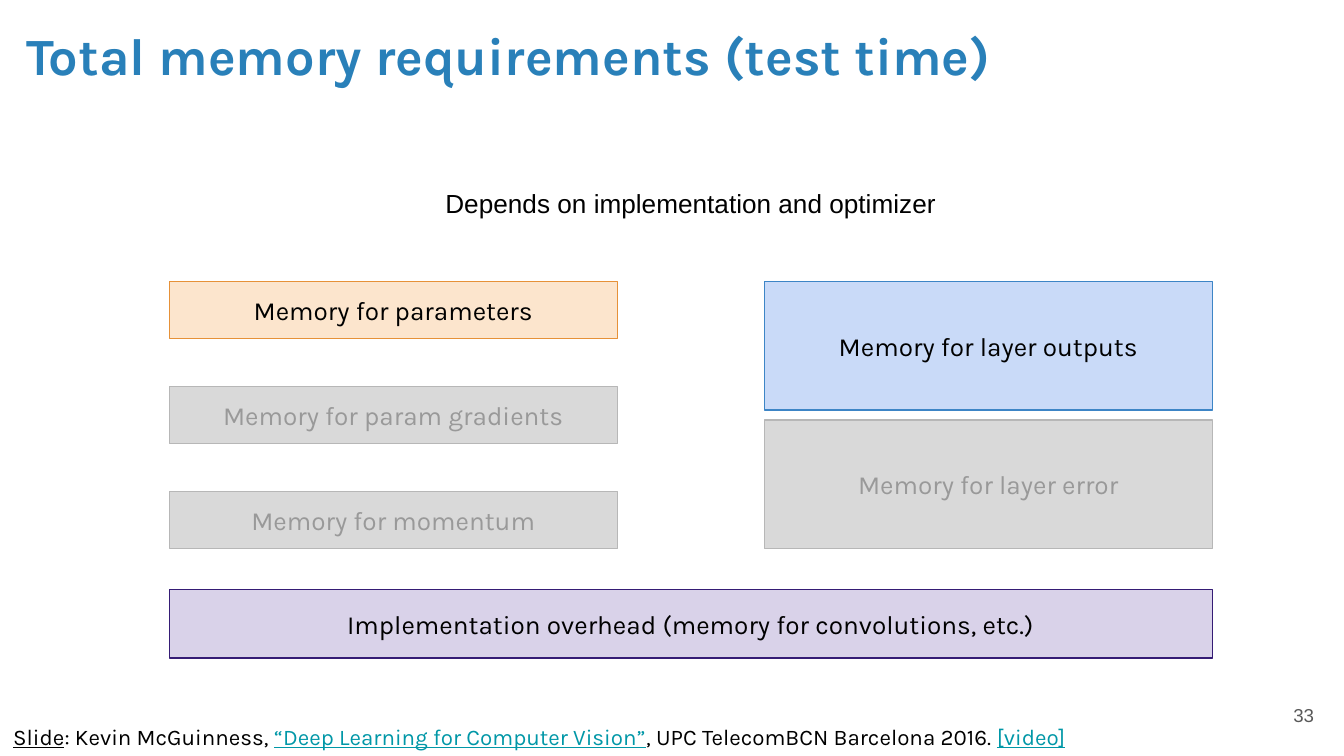
"""Build the slide on total memory requirements at test time."""
from dataclasses import dataclass

from pptx import Presentation
from pptx.dml.color import RGBColor
from pptx.enum.shapes import MSO_SHAPE
from pptx.enum.text import MSO_ANCHOR, MSO_AUTO_SIZE, PP_ALIGN
from pptx.util import Pt

RECT = MSO_SHAPE.RECTANGLE
TOP, MIDDLE = MSO_ANCHOR.TOP, MSO_ANCHOR.MIDDLE
FIXED = MSO_AUTO_SIZE.NONE
LEFT, CENTER, RIGHT = PP_ALIGN.LEFT, PP_ALIGN.CENTER, PP_ALIGN.RIGHT
PX = 9525
BLACK, LINK = "000000", "0097A7"
STACK_TOP, STACK_SPAN, BOX_WIDTH = 201, 191, 320


@dataclass(frozen=True)
class Style:
    fill: str
    line: str
    ink: str = BLACK


@dataclass(frozen=True)
class Box:
    text: str
    style: Style


@dataclass(frozen=True)
class Stack:
    left: int
    height: int
    boxes: tuple[Box, ...]


@dataclass(frozen=True)
class Part:
    text: str
    color: str = BLACK
    under: bool = False


UNUSED = Style("D9D9D9", "B7B7B7", "999999")
PARAMS = Style("FCE5CD", "E69138")
OUTPUTS = Style("C9DAF8", "3D85C6")
OVERHEAD = Style("D9D2E9", "351C75")

STACKS = (
    Stack(121, 41, (
        Box("Memory for parameters", PARAMS),
        Box("Memory for param gradients", UNUSED),
        Box("Memory for momentum", UNUSED),
    )),
    Stack(546, 92, (
        Box("Memory for layer outputs", OUTPUTS),
        Box("Memory for layer error", UNUSED),
    )),
)

CREDIT = (
    Part("Slide", under=True),
    Part(": Kevin McGuinness, "),
    Part("“Deep Learning for Computer Vision”", LINK, True),
    Part(", UPC TelecomBCN Barcelona 2016. "),
    Part("[video]", LINK, True),
)


def rgb(color: str) -> RGBColor:
    """Turn a hex string into a colour."""
    return RGBColor.from_string(color)


def area(left: int, top: int, width: int, height: int) -> tuple[int, ...]:
    """Turn px into EMU."""
    return tuple(side * PX for side in (left, top, width, height))


def write(shape, text: str, size: int, color: str = BLACK, font: str = "Karla",
          align=LEFT, anchor=TOP, bold: bool = False):
    """Fill a shape with one formatted paragraph and return it."""
    frame = shape.text_frame
    frame.word_wrap = True
    frame.auto_size = FIXED
    frame.vertical_anchor = anchor
    frame.margin_top = frame.margin_bottom = frame.margin_left
    para = frame.paragraphs[0]
    para.text = text
    para.alignment = align
    para.font.name = font
    para.font.size = Pt(size)
    para.font.bold = bold
    para.font.color.rgb = rgb(color)
    return para


def draw_box(slide, box: Box, left: int, top: int, width: int, height: int) -> None:
    """Draw one labelled memory box."""
    shape = slide.shapes.add_shape(RECT, *area(left, top, width, height))
    shape.shadow.inherit = False
    shape.fill.solid()
    shape.fill.fore_color.rgb = rgb(box.style.fill)
    shape.line.color.rgb = rgb(box.style.line)
    shape.line.width = Pt(0.75)
    write(shape, box.text, 14, box.style.ink, align=CENTER, anchor=MIDDLE)


def draw_stack(slide, stack: Stack) -> None:
    """Spread the boxes of a stack evenly over the common span."""
    gaps = len(stack.boxes) - 1
    for row, box in enumerate(stack.boxes):
        top = STACK_TOP + row * (STACK_SPAN - stack.height) // gaps
        draw_box(slide, box, stack.left, top, BOX_WIDTH, stack.height)


def draw_credit(slide) -> None:
    """Draw the source line at the foot of the slide."""
    label = slide.shapes.add_textbox(*area(0, 507, 853, 28))
    para = write(label, "", 12)
    for part in CREDIT:
        run = para.add_run()
        run.text = part.text
        run.font.color.rgb = rgb(part.color)
        run.font.underline = part.under


def main() -> None:
    """Build and save the slide."""
    deck = Presentation()
    deck.slide_width, deck.slide_height = 960 * PX, 540 * PX
    slide = deck.slides.add_slide(deck.slide_layouts[5])
    title = slide.shapes.title
    title.left, title.top, title.width, title.height = area(9, 7, 895, 60)
    write(title, "Total memory requirements (test time)", 28, "2980B9", bold=True)
    note = slide.shapes.add_textbox(*area(269, 124, 449, 41))
    write(note, "Depends on implementation and optimizer", 14, font="Arial", align=CENTER)
    for stack in STACKS:
        draw_stack(slide, stack)
    whole = Box("Implementation overhead (memory for convolutions, etc.)", OVERHEAD)
    draw_box(slide, whole, 121, 421, 745, 49)
    number = slide.shapes.add_textbox(*area(890, 490, 58, 41))
    write(number, "33", 10, "595959", "Arial", RIGHT, MIDDLE)
    draw_credit(slide)
    deck.save("out.pptx")


if __name__ == "__main__":
    main()
